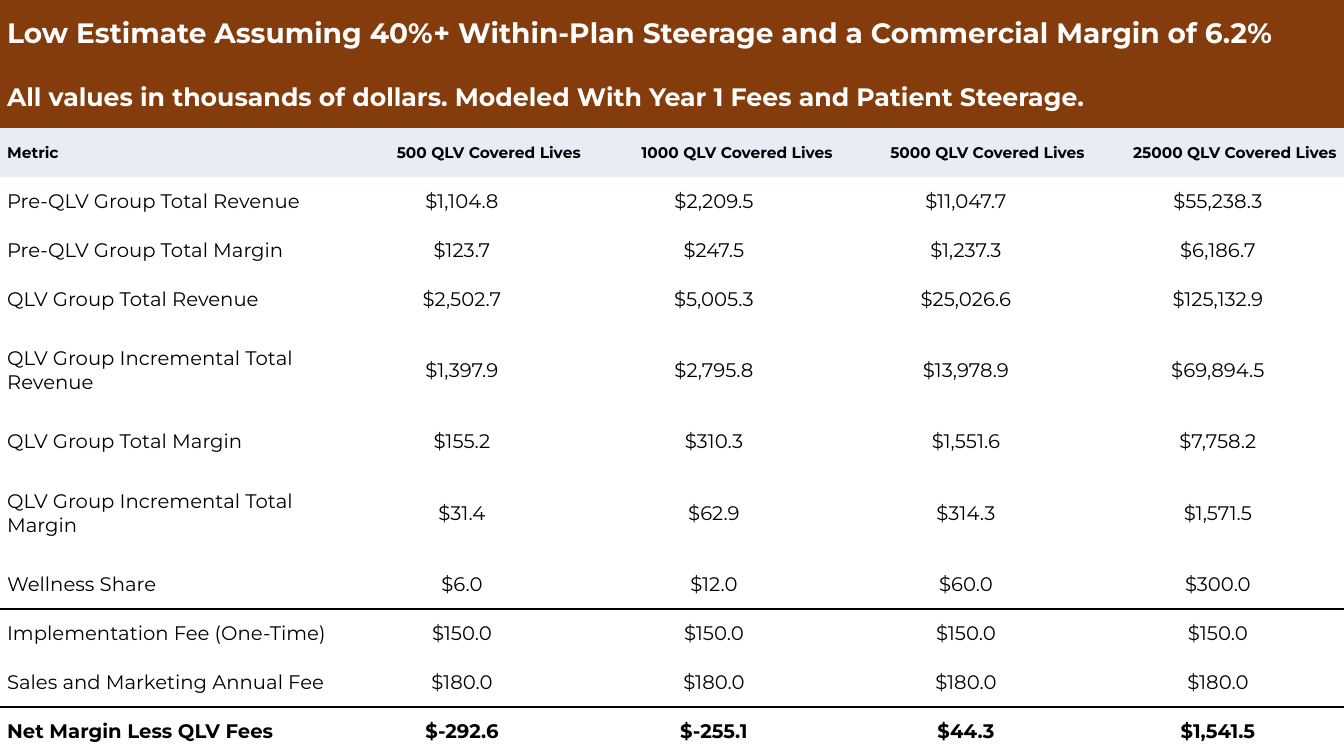
from dataclasses import dataclass

from lxml import etree
from pptx import Presentation
from pptx import util as u
from pptx.dml.color import RGBColor
from pptx.enum import text
from pptx.oxml import ns
from pptx.table import Table, _Cell


@dataclass(frozen=True)
class Theme:
    font: str = "Montserrat"
    banner: str = "843C0C"
    banner_text: str = "FFFFFF"
    heading: str = "E7ECF5"
    ink: str = "000000"
    title_size: int = 20
    subtitle_size: int = 18
    heading_size: int = 11
    body_size: int = 14
    rule_width: int = 1
    inset: float = 0.07
    paragraph_gap: float = 0.1


@dataclass(frozen=True)
class Row:
    texts: tuple[str, ...]
    size: int
    color: str
    fill: str | None = None
    bold: bool = False
    values_align: text.PP_ALIGN = text.PP_ALIGN.CENTER
    height: float | None = None  # inches; None shares what is left
    rule_below: bool = False


THEME = Theme()
SLIDE_WIDTH, SLIDE_HEIGHT = u.Inches(13.33), u.Inches(7.5)
COLUMN_SHARES = (4, 3, 3, 3, 3)
TALL_ROW = 0.93
NO_STYLE_NO_GRID = "{2D5ABB26-0587-4C30-8999-92F81FD0307C}"


def banner(words: str, size: int, height: float) -> Row:
    return Row((words,), size, THEME.banner_text, THEME.banner, bold=True, height=height)


def metric(*texts: str, **options) -> Row:
    return Row(texts, THEME.body_size, THEME.ink, **options)


ROWS = (
    banner("Low Estimate Assuming 40%+ Within-Plan Steerage and a Commercial Margin of 6.2%",
           THEME.title_size, 0.67),
    banner("All values in thousands of dollars. Modeled With Year 1 Fees and Patient Steerage.",
           THEME.subtitle_size, 0.6),
    Row(("Metric", *(f"{lives} QLV Covered Lives" for lives in (500, 1000, 5000, 25000))),
        THEME.heading_size, THEME.ink, THEME.heading, bold=True,
        values_align=text.PP_ALIGN.RIGHT),
    metric("Pre-QLV Group Total Revenue", "$1,104.8", "$2,209.5", "$11,047.7", "$55,238.3"),
    metric("Pre-QLV Group Total Margin", "$123.7", "$247.5", "$1,237.3", "$6,186.7"),
    metric("QLV Group Total Revenue", "$2,502.7", "$5,005.3", "$25,026.6", "$125,132.9"),
    metric("QLV Group Incremental Total Revenue", "$1,397.9", "$2,795.8", "$13,978.9",
           "$69,894.5", height=TALL_ROW),
    metric("QLV Group Total Margin", "$155.2", "$310.3", "$1,551.6", "$7,758.2"),
    metric("QLV Group Incremental Total Margin", "$31.4", "$62.9", "$314.3", "$1,571.5",
           height=TALL_ROW),
    metric("Wellness Share", "$6.0", "$12.0", "$60.0", "$300.0", rule_below=True),
    metric("Implementation Fee (One-Time)", *["$150.0"] * 4),
    metric("Sales and Marketing Annual Fee", *["$180.0"] * 4, rule_below=True),
    metric("Net Margin Less QLV Fees", "$-292.6", "$-255.1", "$44.3", "$1,541.5", bold=True),
)


def write_text(cell: _Cell, words: str, *, size: int, color: str, bold: bool,
               align: text.PP_ALIGN) -> None:
    paragraph = cell.text_frame.paragraphs[0]
    paragraph.alignment = align
    paragraph.space_before = paragraph.space_after = u.Pt(THEME.paragraph_gap)
    properties = paragraph._p.get_or_add_pPr()
    for side in ("marL", "marR"):
        properties.set(side, str(u.Inches(THEME.inset)))
    run = paragraph.add_run()
    run.text = words
    run.font.name = THEME.font
    run.font.size = u.Pt(size)
    run.font.bold = bold
    run.font.color.rgb = RGBColor.from_string(color)


def format_cell(cell: _Cell, fill: str | None) -> None:
    cell.margin_left = cell.margin_right = cell.margin_top = cell.margin_bottom = 0
    cell.vertical_anchor = text.MSO_ANCHOR.MIDDLE
    if fill:
        cell.fill.solid()
        cell.fill.fore_color.rgb = RGBColor.from_string(fill)
    else:
        cell.fill.background()


def set_border(cell: _Cell, side: str, visible: bool) -> None:
    line = etree.Element(ns.qn(f"a:{side}"), w=str(u.Pt(THEME.rule_width)))
    if visible:
        solid = etree.SubElement(line, ns.qn("a:solidFill"))
        etree.SubElement(solid, ns.qn("a:srgbClr"), val=THEME.ink)
    else:
        etree.SubElement(line, ns.qn("a:noFill"))
    cell._tc.get_or_add_tcPr().insert(0, line)  # borders precede the fill


def fill_row(table: Table, index: int, row: Row) -> None:
    rule_above = index > 0 and ROWS[index - 1].rule_below
    for column in range(len(COLUMN_SHARES)):
        cell = table.cell(index, column)
        format_cell(cell, row.fill)
        set_border(cell, "lnB", row.rule_below)
        set_border(cell, "lnT", rule_above)
    for column, words in enumerate(row.texts):
        write_text(table.cell(index, column), words, size=row.size, color=row.color,
                   bold=row.bold, align=row.values_align if column else text.PP_ALIGN.LEFT)
    if len(row.texts) == 1:
        table.cell(index, 0).merge(table.cell(index, len(COLUMN_SHARES) - 1))


def main() -> None:
    presentation = Presentation()
    presentation.slide_width, presentation.slide_height = SLIDE_WIDTH, SLIDE_HEIGHT
    slide = presentation.slides.add_slide(presentation.slide_layouts[6])

    # Plain table covering the slide
    shape = slide.shapes.add_table(len(ROWS), len(COLUMN_SHARES), 0, 0,
                                   SLIDE_WIDTH, SLIDE_HEIGHT)
    table = shape.table
    table.first_row = table.horz_banding = False
    next(shape.element.iter(ns.qn("a:tableStyleId"))).text = NO_STYLE_NO_GRID

    # Column widths by share, free height split evenly
    for column, share in zip(table.columns, COLUMN_SHARES):
        column.width = SLIDE_WIDTH * share // sum(COLUMN_SHARES)
    fixed = [u.Inches(row.height) for row in ROWS if row.height]
    free_height = (SLIDE_HEIGHT - sum(fixed)) // (len(ROWS) - len(fixed))

    # Contents
    for index, row in enumerate(ROWS):
        table.rows[index].height = u.Inches(row.height) if row.height else free_height
        fill_row(table, index, row)

    presentation.save("out.pptx")


if __name__ == "__main__":
    main()
